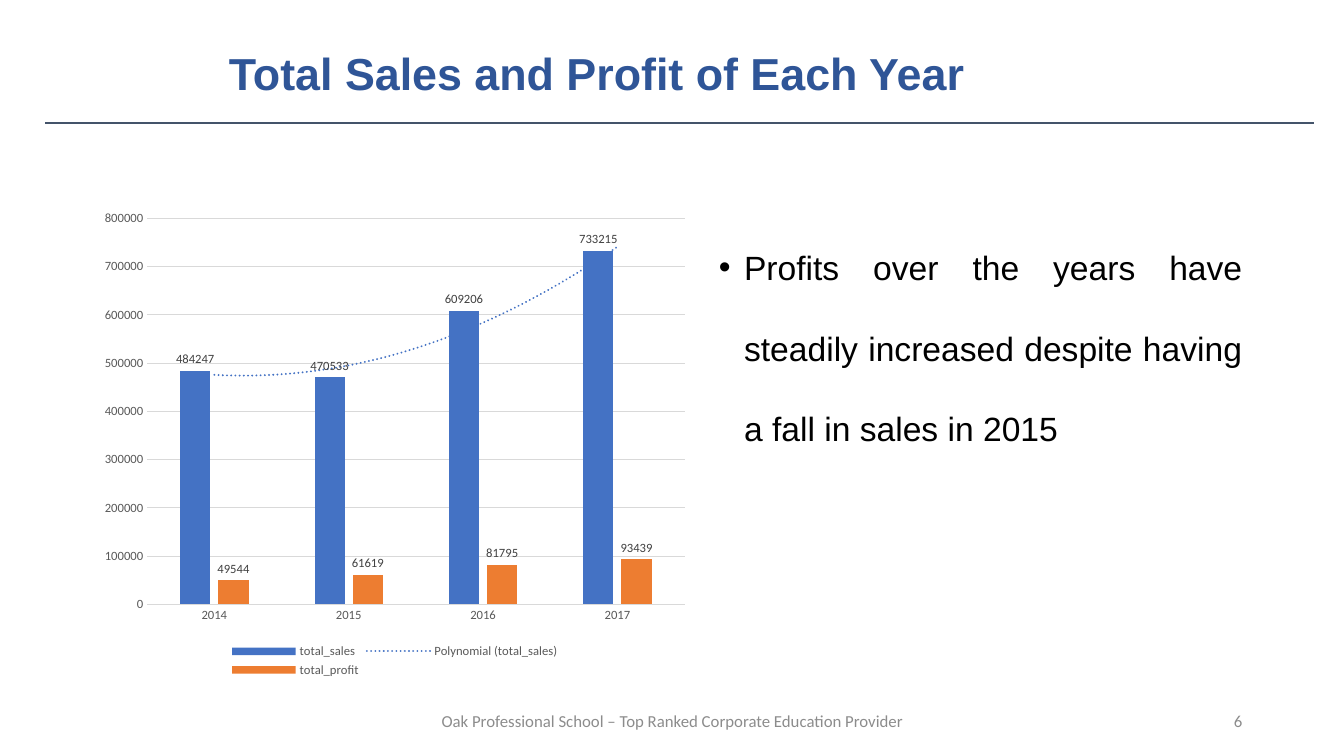
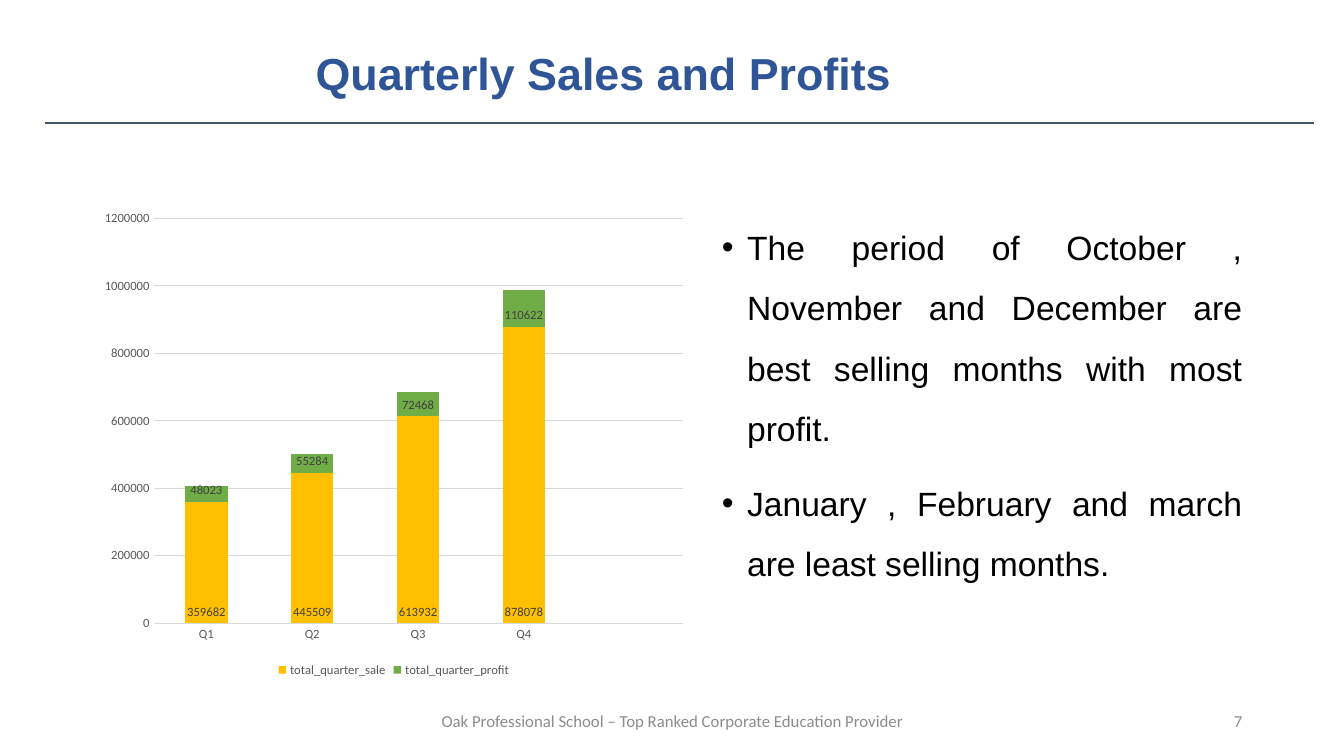
from pptx import Presentation
from pptx.chart.data import CategoryChartData
from pptx.dml.color import RGBColor
from pptx.enum.chart import XL_CHART_TYPE, XL_LABEL_POSITION, XL_LEGEND_POSITION, XL_TICK_MARK
from pptx.enum.shapes import MSO_CONNECTOR
from pptx.enum.text import MSO_ANCHOR, MSO_AUTO_SIZE, PP_ALIGN
from pptx.oxml import parse_xml
from pptx.oxml.ns import nsdecls, qn
from pptx.util import Inches, Pt
from lxml.etree import SubElement

TITLE_BLUE = "2F5597"
RULE_SLATE = "44546A"
FOOTER_GRAY = "8C8C8C"
AXIS_GRAY = "595959"
LABEL_GRAY = "404040"
GRID_GRAY = "D9D9D9"
BLACK = "000000"
FOOTER = "Oak Professional School – Top Ranked Corporate Education Provider"
TREND_LINE = (
    f'<c:trendline {nsdecls("c", "a")}><c:spPr><a:ln w="19050" cap="rnd"><a:solidFill>'
    '<a:srgbClr val="4472C4"/></a:solidFill><a:prstDash val="sysDot"/></a:ln></c:spPr>'
    '<c:trendlineType val="poly"/><c:order val="2"/><c:dispRSqr val="0"/>'
    '<c:dispEq val="0"/></c:trendline>'
)


def color(value):
    return RGBColor.from_string(value)


def write_text(paragraph, text, size=12, font="Calibri", fill=BLACK, bold=False,
               align=PP_ALIGN.LEFT, spacing=1.0, before=0):
    run = paragraph.add_run()
    run.text = text
    run.font.size = Pt(size)
    run.font.name = font
    run.font.bold = bold
    run.font.color.rgb = color(fill)
    paragraph.alignment = align
    paragraph.line_spacing = spacing
    paragraph.space_before = Pt(before)


pages = [
    {
        "number": "6",
        "title": "Total Sales and Profit of Each Year",
        "title_inset": 1.83,
        "body_box": (7.03, 2, 5.39, 4.76),
        "body_spacing": 2.0,
        "bullets": ["Profits over the years have steadily increased despite having a fall in sales in 2015"],
        "chart_type": XL_CHART_TYPE.COLUMN_CLUSTERED,
        "chart_width": 5.99,
        "categories": ["2014", "2015", "2016", "2017"],
        "series": [
            ("total_sales", [484247, 470533, 609206, 733215], "4472C4"),
            ("total_profit", [49544, 61619, 81795, 93439], "ED7D31"),
        ],
        "trend": True,
        "gap": 219,
        "overlap": -27,
        "label_position": XL_LABEL_POSITION.OUTSIDE_END,
        "axis_maximum": 800000,
        "axis_step": 100000,
    },
    {
        "number": "7",
        "title": "Quarterly Sales and Profits",
        "title_inset": 2.69,
        "body_box": (7.06, 2, 5.36, 4.48),
        "body_spacing": 1.5,
        "bullets": [
            "The period of October , November and December are best selling months with most profit.",
            "January , February and march are least selling months.",
        ],
        "chart_type": XL_CHART_TYPE.COLUMN_STACKED,
        "chart_width": 5.97,
        "categories": ["Q1", "Q2", "Q3", "Q4", ""],
        "series": [
            ("total_quarter_sale", [359682, 445509, 613932, 878078, None], "FFC000"),
            ("total_quarter_profit", [48023, 55284, 72468, 110622, None], "70AD47"),
        ],
        "trend": False,
        "gap": 150,
        "overlap": 100,
        "label_position": XL_LABEL_POSITION.INSIDE_BASE,
        "axis_maximum": 1200000,
        "axis_step": 200000,
    },
]

presentation = Presentation()
presentation.slide_width = Inches(13.33)
presentation.slide_height = Inches(7.5)

for page in pages:
    slide = presentation.slides.add_slide(presentation.slide_layouts[1])

    rule = slide.shapes.add_connector(
        MSO_CONNECTOR.STRAIGHT, Inches(0.45), Inches(1.22), Inches(13.03), Inches(1.22))
    rule.line.color.rgb = color(RULE_SLATE)
    rule.line.width = Pt(2)
    SubElement(rule.element.spPr, qn("a:effectLst"))

    footers = [
        (FOOTER, 4.26, 4.82, PP_ALIGN.CENTER),
        (page["number"], 9.42, 3, PP_ALIGN.RIGHT),
    ]
    for text, left, width, align in footers:
        footer = slide.shapes.add_textbox(Inches(left), Inches(6.95), Inches(width), Inches(0.4))
        footer.text_frame.word_wrap = True
        footer.text_frame.vertical_anchor = MSO_ANCHOR.MIDDLE
        write_text(footer.text_frame.paragraphs[0], text, fill=FOOTER_GRAY, align=align)

    title = slide.shapes.title
    title.left, title.top, title.width, title.height = map(Inches, (0.44, 0.32, 11.5, 0.86))
    title.text_frame.margin_left = Inches(page["title_inset"])
    title.text_frame.vertical_anchor = MSO_ANCHOR.MIDDLE
    title.text_frame.auto_size = MSO_AUTO_SIZE.NONE
    write_text(title.text_frame.paragraphs[0], page["title"], size=32, font="Arial",
               fill=TITLE_BLUE, bold=True, spacing=0.9)

    body = slide.placeholders[1]
    body.left, body.top, body.width, body.height = map(Inches, page["body_box"])
    body.text_frame.auto_size = MSO_AUTO_SIZE.NONE
    for index, bullet in enumerate(page["bullets"]):
        paragraph = body.text_frame.add_paragraph() if index else body.text_frame.paragraphs[0]
        write_text(paragraph, bullet, size=24, font="Arial", align=PP_ALIGN.JUSTIFY,
                   spacing=page["body_spacing"], before=10)
        properties = paragraph._p.get_or_add_pPr()
        properties.set("marL", str(Inches(0.25)))
        properties.set("indent", str(Inches(-0.25)))

    chart_data = CategoryChartData()
    chart_data.categories = page["categories"]
    for name, values, fill in page["series"]:
        chart_data.add_series(name, values)
    chart = slide.shapes.add_chart(
        page["chart_type"], Inches(0.92), Inches(2), Inches(page["chart_width"]),
        Inches(4.76), chart_data).chart
    chart.has_title = False
    chart.font.name = "Calibri"
    chart.font.size = Pt(9)
    chart.font.color.rgb = color(AXIS_GRAY)
    chart.has_legend = True
    chart.legend.position = XL_LEGEND_POSITION.BOTTOM
    chart.legend.include_in_layout = False

    for axis in (chart.category_axis, chart.value_axis):
        axis.major_tick_mark = XL_TICK_MARK.NONE
        axis.minor_tick_mark = XL_TICK_MARK.NONE
    chart.category_axis.format.line.color.rgb = color(GRID_GRAY)
    chart.category_axis.format.line.width = Pt(0.75)
    chart.value_axis.format.line.fill.background()
    chart.value_axis.minimum_scale = 0
    chart.value_axis.maximum_scale = page["axis_maximum"]
    chart.value_axis.major_unit = page["axis_step"]
    gridlines = chart.value_axis.major_gridlines.format.line
    gridlines.color.rgb = color(GRID_GRAY)
    gridlines.width = Pt(0.75)

    plot = chart.plots[0]
    plot.vary_by_categories = False
    plot.gap_width = page["gap"]
    plot.overlap = page["overlap"]
    for series, (name, values, fill) in zip(plot.series, page["series"]):
        series.format.fill.solid()
        series.format.fill.fore_color.rgb = color(fill)
        labels = series.data_labels
        labels.show_value = True
        labels.position = page["label_position"]
        labels.font.name = "Calibri"
        labels.font.size = Pt(9)
        labels.font.color.rgb = color(LABEL_GRAY)
    if page["trend"]:
        plot.series[0]._element.find(qn("c:cat")).addprevious(parse_xml(TREND_LINE))

presentation.save("out.pptx")
